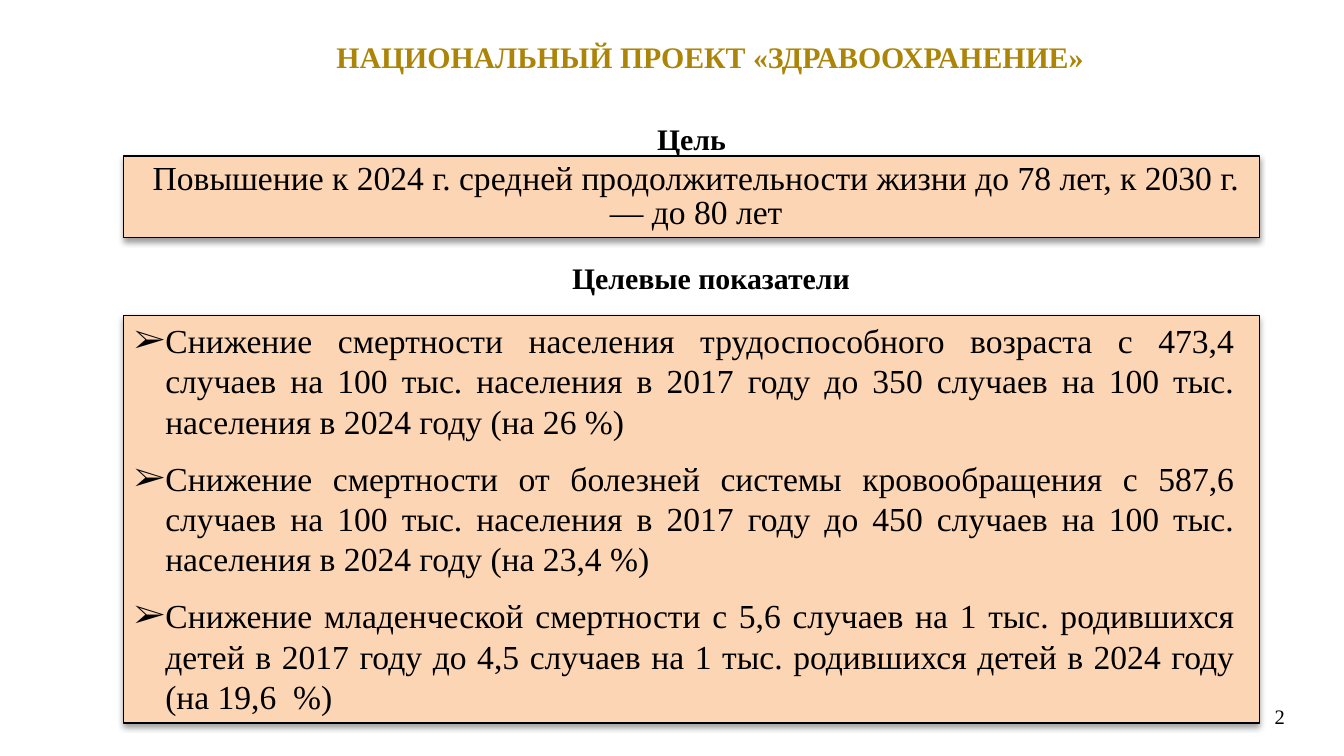
import pptx
import pptx.util
import pptx.dml.color
import pptx.enum.shapes
import pptx.enum.text
import lxml.etree
from dataclasses import dataclass

Inches = pptx.util.Inches
Pt = pptx.util.Pt
Align = pptx.enum.text.PP_ALIGN
Anchor = pptx.enum.text.MSO_ANCHOR
NS = "http://schemas.openxmlformats.org/drawingml/2006/main"


@dataclass(frozen=True)
class Theme:
    font: str = "Times New Roman"
    gold: str = "AB8408"
    black: str = "000000"
    peach: str = "FCD5B5"
    head: int = 16
    body: int = 18
    small: int = 11


THEME = Theme()
WIDTH = 10
HEIGHT = WIDTH * 9 / 16
LEFT, SPAN = 0.92, 8.45  # column shared by both panels

GOAL = ("Повышение к 2024 г. средней продолжительности жизни до 78 лет, "
        "к 2030 г. — до 80 лет")
TARGETS = [
    "Снижение смертности населения трудоспособного возраста с 473,4 случаев "
    "на 100 тыс. населения в 2017 году до 350 случаев на 100 тыс. населения "
    "в 2024 году (на 26 %)",
    "Снижение смертности от болезней системы кровообращения с 587,6 случаев "
    "на 100 тыс. населения в 2017 году до 450 случаев на 100 тыс. населения "
    "в 2024 году (на 23,4 %)",
    "Снижение младенческой смертности с 5,6 случаев на 1 тыс. родившихся "
    "детей в 2017 году до 4,5 случаев на 1 тыс. родившихся детей в 2024 году "
    "(на 19,6  %)",
]


def rgb(code):
    return pptx.dml.color.RGBColor.from_string(code)


def child(parent, tag, **attrs):
    node = lxml.etree.SubElement(parent, f"{{{NS}}}{tag}")
    for key, value in attrs.items():
        node.set(key, str(value))
    return node


def set_frame(shape, insets, anchor):
    frame = shape.text_frame
    frame.word_wrap = True
    frame.vertical_anchor = anchor
    (frame.margin_left, frame.margin_top,
     frame.margin_right, frame.margin_bottom) = map(Inches, insets)
    return frame


def style(para, size, align, color=THEME.black, bold=False):
    para.alignment = align
    font = para.font
    font.name, font.size, font.bold = THEME.font, Pt(size), bold
    font.color.rgb = rgb(color)


def indent(para, left, first=0):
    props = para._p.get_or_add_pPr()
    props.set("marL", str(Inches(left)))
    props.set("indent", str(Inches(first)))
    return props


def add_label(slide, text, box, insets, size=THEME.head, align=Align.CENTER,
              anchor=Anchor.TOP, color=THEME.black, bold=True):
    shape = slide.shapes.add_textbox(*map(Inches, box))
    para = set_frame(shape, insets, anchor).paragraphs[0]
    para.text = text
    style(para, size, align, color, bold)


def add_shadow(shape):
    effects = child(shape._element.spPr, "effectLst")
    outer = child(effects, "outerShdw", blurRad=Pt(3.1), dist=Pt(1.6),
                  dir=90 * 60000, algn="ctr", rotWithShape=0)
    color = child(outer, "srgbClr", val=THEME.black)
    child(color, "alpha", val=38000)


def add_panel(slide, top, height, insets, anchor):
    """Draw a shadowed peach panel and return its text frame."""
    kind = pptx.enum.shapes.MSO_SHAPE.RECTANGLE
    shape = slide.shapes.add_shape(
        kind, *map(Inches, (LEFT, top, SPAN, height)))
    shape.fill.solid()
    shape.fill.fore_color.rgb = rgb(THEME.peach)
    shape.line.color.rgb = rgb(THEME.black)
    shape.line.width = Pt(0.75)
    add_shadow(shape)
    return set_frame(shape, insets, anchor)


def add_goal(slide):
    frame = add_panel(slide, 1.16, 0.61, (0.06, 0.03, 0.06, 0.03),
                      Anchor.MIDDLE)
    para = frame.paragraphs[0]
    para.text = GOAL
    indent(para, 0.07)
    para.line_spacing = 0.85
    style(para, THEME.body, Align.CENTER)


def add_targets(slide):
    frame = add_panel(slide, 2.35, 3.03, (0, 0.03, 0.18, 0), Anchor.TOP)
    for index, text in enumerate(TARGETS):
        para = frame.add_paragraph() if index else frame.paragraphs[0]
        para.text = text
        props = indent(para, 0.31, -0.23)
        child(props, "buFont", typeface=THEME.font)
        child(props, "buChar", char="➢")
        para.space_before = Pt(4.5 if index else 0)
        para.space_after = Pt(4.5)
        style(para, THEME.body, Align.JUSTIFY)


def main():
    deck = pptx.Presentation()
    deck.slide_width, deck.slide_height = Inches(WIDTH), Inches(HEIGHT)
    slide = deck.slides.add_slide(deck.slide_layouts[6])
    pad = (0.07, 0.04, 0.07, 0.04)
    add_label(slide, "НАЦИОНАЛЬНЫЙ ПРОЕКТ «ЗДРАВООХРАНЕНИЕ»",
              (1.87, 0.26, 6.83, 0.51), (0.05, 0.03, 0.05, 0.03),
              color=THEME.gold)
    add_label(slide, "Цель", (LEFT, 0.86, SPAN, 0.35), pad)
    add_goal(slide)
    add_targets(slide)
    add_label(slide, "Целевые показатели", (2.02, 1.89, 6.54, 0.35), pad)
    add_label(slide, "2", (8.86, 5.19, 0.8, 0.28), (0.1, 0.05, 0.1, 0.05),
              THEME.small, Align.RIGHT, Anchor.MIDDLE, bold=False)
    deck.save("out.pptx")


if __name__ == "__main__":
    main()
